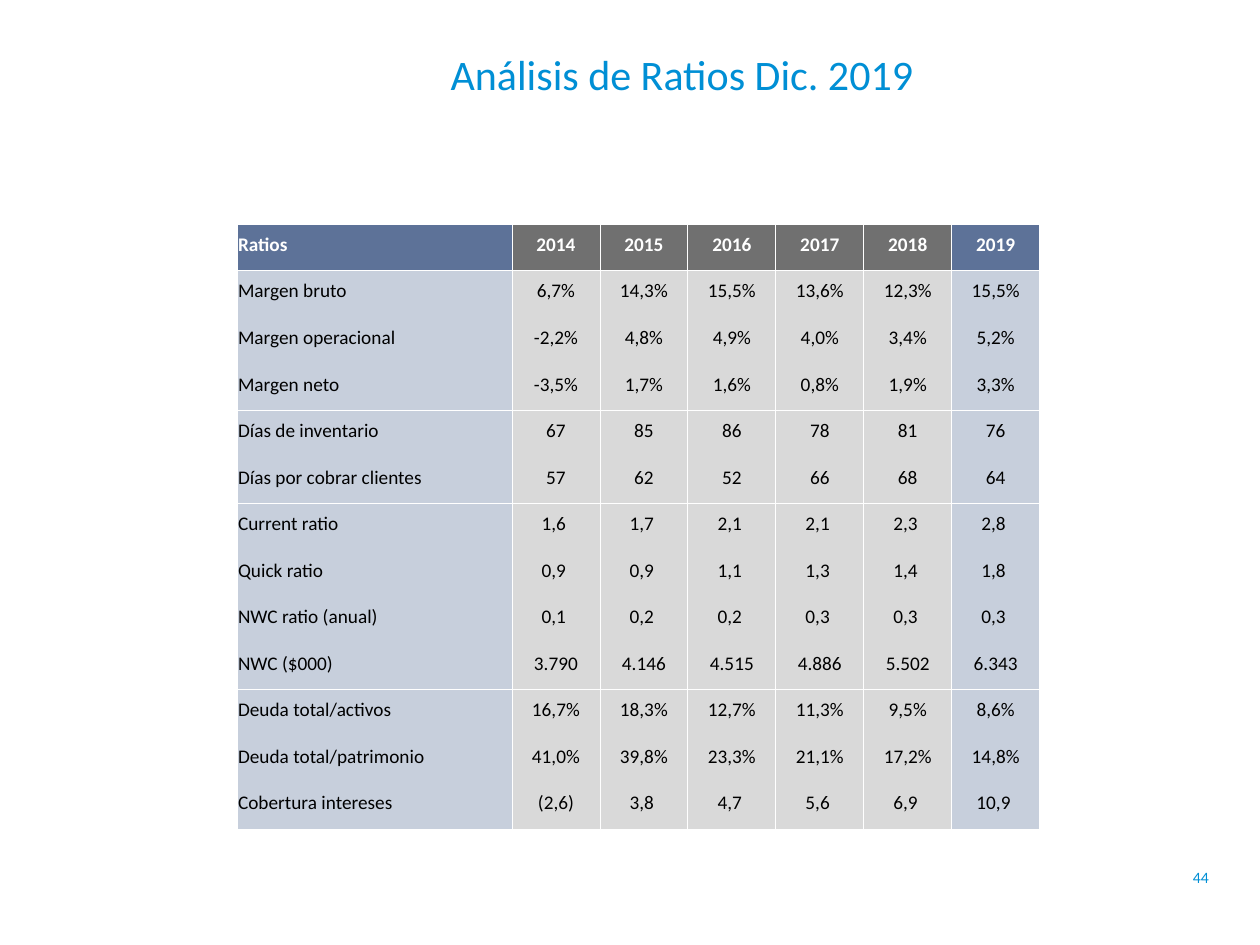
from dataclasses import dataclass

from lxml import etree
from pptx import Presentation
from pptx.dml.color import RGBColor
from pptx.enum.text import MSO_ANCHOR, PP_ALIGN
from pptx.oxml.ns import qn
from pptx.util import Pt

LEFT, CENTER = PP_ALIGN.LEFT, PP_ALIGN.CENTER
MIDDLE = MSO_ANCHOR.MIDDLE
EMU_PER_PX = 914400 / 126


@dataclass(frozen=True)
class Theme:
    """Colours, font and type sizes of the slide."""
    font: str = "Calibri"
    accent: str = "008FD5"
    header_text: str = "FFFFFF"
    body_text: str = "000000"
    header_blue: str = "5D7298"
    header_grey: str = "707070"
    body_blue: str = "C7CFDC"
    body_grey: str = "D9D9D9"
    border: str = "FFFFFF"
    border_pt: float = 0.5
    title_pt: int = 24
    table_pt: int = 11
    number_pt: int = 9


THEME = Theme()
HEADER = "Ratios|2014|2015|2016|2017|2018|2019"
RATIO_GROUPS = [
    [
        "Margen bruto|6,7%|14,3%|15,5%|13,6%|12,3%|15,5%",
        "Margen operacional|-2,2%|4,8%|4,9%|4,0%|3,4%|5,2%",
        "Margen neto|-3,5%|1,7%|1,6%|0,8%|1,9%|3,3%",
    ],
    [
        "Días de inventario|67|85|86|78|81|76",
        "Días por cobrar clientes|57|62|52|66|68|64",
    ],
    [
        "Current ratio|1,6 |1,7 |2,1 |2,1 |2,3 |2,8 ",
        "Quick ratio|0,9 |0,9 |1,1 |1,3 |1,4 |1,8 ",
        "NWC ratio (anual)|0,1 |0,2 |0,2 |0,3 |0,3 |0,3 ",
        "NWC ($000)|3.790|4.146|4.515|4.886|5.502|6.343",
    ],
    [
        "Deuda total/activos|16,7%|18,3%|12,7%|11,3%|9,5%|8,6%",
        "Deuda total/patrimonio|41,0%|39,8%|23,3%|21,1%|17,2%|14,8%",
        "Cobertura intereses|(2,6)|3,8 |4,7 |5,6 |6,9 |10,9 ",
    ],
]


def px(length):
    """Turn px into EMU."""
    return round(length * EMU_PER_PX)


def add_run(paragraph, text, size, color, bold=False):
    """Add one styled run to a paragraph."""
    run = paragraph.add_run()
    run.text = text
    run.font.name = THEME.font
    run.font.size = Pt(size)
    run.font.bold = bold
    run.font.color.rgb = RGBColor.from_string(color)


def add_line_of_text(slide, box, text, size, align, line_spacing=1.0):
    """Place a single accent-coloured line of text at the top of a box."""
    frame = slide.shapes.add_textbox(*map(px, box)).text_frame
    frame.word_wrap = True
    frame.margin_left = frame.margin_right = 0
    frame.margin_top = frame.margin_bottom = 0
    paragraph = frame.paragraphs[0]
    paragraph.alignment = align
    paragraph.line_spacing = line_spacing
    add_run(paragraph, text, size, THEME.accent)


def set_borders(cell, visible_sides):
    """Draw the named sides of a cell and clear the others."""
    properties = cell._tc.get_or_add_tcPr()
    for side in "LRTB":
        line = etree.SubElement(properties, qn(f"a:ln{side}"), w=str(Pt(THEME.border_pt)))
        if side in visible_sides:
            fill = etree.SubElement(line, qn("a:solidFill"))
            etree.SubElement(fill, qn("a:srgbClr"), val=THEME.border)
        else:
            etree.SubElement(line, qn("a:noFill"))


def fill_row(cells, values, sides, colors, text_color, bold=False):
    """Write one table row, with the outer columns in the first colour."""
    outer_color, inner_color = colors
    last = len(values) - 1
    for column, (cell, value) in enumerate(zip(cells, values)):
        set_borders(cell, sides)
        cell.fill.solid()
        cell.fill.fore_color.rgb = RGBColor.from_string(
            outer_color if column in (0, last) else inner_color)
        cell.vertical_anchor = MIDDLE
        cell.margin_left = cell.margin_right = cell.margin_top = px(1)
        cell.margin_bottom = px(6)
        paragraph = cell.text_frame.paragraphs[0]
        paragraph.alignment = CENTER if column else LEFT
        add_run(paragraph, value, THEME.table_pt, text_color, bold)


def add_ratio_table(slide, box, year_width):
    """Place the ratio table with a header and ruled groups of rows."""
    left, top, width, height = box
    years = HEADER.count("|")
    row_count = 1 + sum(map(len, RATIO_GROUPS))
    table = slide.shapes.add_table(row_count, years + 1, *map(px, box)).table
    label_width = width - years * year_width
    for column, column_width in zip(table.columns, [label_width] + [year_width] * years):
        column.width = px(column_width)
    for row in table.rows:
        row.height = px(height) // row_count

    rows = iter(table.rows)
    fill_row(next(rows).cells, HEADER.split("|"), "LRTB",
             (THEME.header_blue, THEME.header_grey), THEME.header_text, bold=True)
    for group in RATIO_GROUPS:
        for index, ratio in enumerate(group):
            sides = "LR" + "T" * (index == 0) + "B" * (index == len(group) - 1)
            fill_row(next(rows).cells, ratio.split("|"), sides,
                     (THEME.body_blue, THEME.body_grey), THEME.body_text)


def main():
    """Build the ratio analysis slide and save it."""
    deck = Presentation()
    deck.slide_width, deck.slide_height = px(1260), px(945)
    slide = deck.slides.add_slide(deck.slide_layouts[6])
    add_line_of_text(slide, (1193, 868, 55, 49), "44", THEME.number_pt, LEFT)
    add_line_of_text(slide, (164, 54, 1036, 71), "Análisis de Ratios Dic. 2019",
                     THEME.title_pt, CENTER, line_spacing=0.9)
    add_ratio_table(slide, (237, 224, 803, 605), year_width=88)
    deck.save("out.pptx")


if __name__ == "__main__":
    main()
